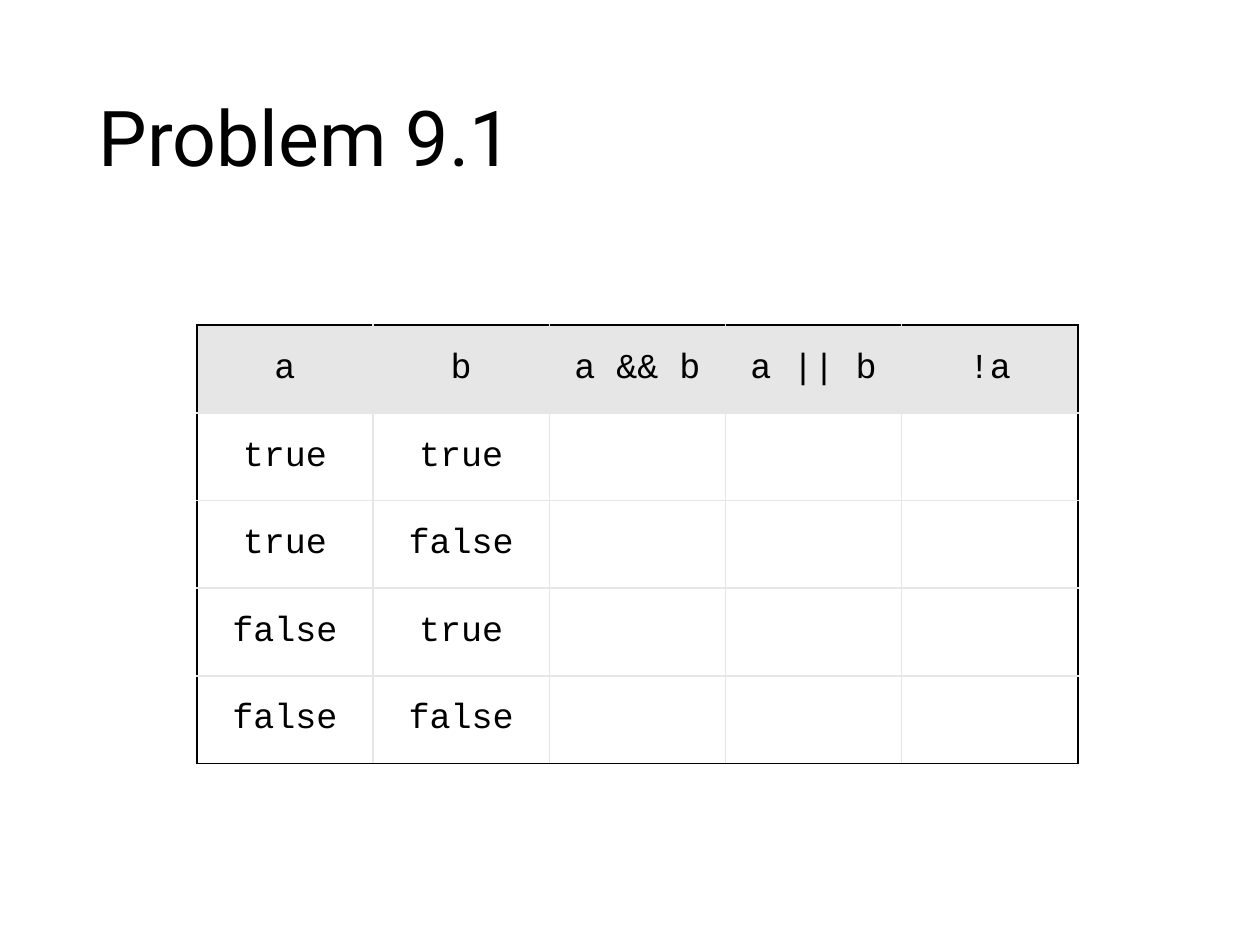
from lxml.etree import SubElement
from pptx import Presentation
from pptx.dml.color import RGBColor
from pptx.enum.text import MSO_ANCHOR, PP_ALIGN
from pptx.oxml.ns import qn
from pptx.util import Pt

TITLE = "Problem 9.1"
ROWS = [
    ("a", "b", "a && b", "a || b", "!a"),
    ("true", "true", "", "", ""),
    ("true", "false", "", "", ""),
    ("false", "true", "", "", ""),
    ("false", "false", "", "", ""),
]
BLACK = RGBColor(0, 0, 0)
GRAY = RGBColor(0xE7, 0xE6, 0xE6)
LEFT, TOP = 112.5, 185.8
WIDTH, HEIGHT = 503.5, 250.5


def write(frame, text, font, size, align=PP_ALIGN.LEFT, space=1.0):
    para = frame.paragraphs[0]
    para.alignment = align
    para.line_spacing = space
    run = para.add_run()
    run.text = text
    run.font.name = font
    run.font.size = Pt(size)
    run.font.color.rgb = BLACK


def border(cell, side, color):
    props = cell._tc.get_or_add_tcPr()
    line = SubElement(props, qn(f"a:ln{side}"), w=str(Pt(1)))
    fill = SubElement(line, qn("a:solidFill"))
    SubElement(fill, qn("a:srgbClr"), val=str(color))


def main():
    deck = Presentation()
    deck.slide_width, deck.slide_height = Pt(720), Pt(540)
    slide = deck.slides.add_slide(deck.slide_layouts[6])

    title = slide.shapes.add_textbox(Pt(49.5), Pt(28.75), Pt(621), Pt(104.4))
    title.text_frame.word_wrap = True
    title.text_frame.vertical_anchor = MSO_ANCHOR.MIDDLE
    write(title.text_frame, TITLE, font="Roboto", size=44, space=0.9)

    count, cols = len(ROWS), len(ROWS[0])
    table = slide.shapes.add_table(
        count, cols, Pt(LEFT), Pt(TOP), Pt(WIDTH), Pt(HEIGHT)
    ).table
    for col in table.columns:
        col.width = Pt(WIDTH / cols)
    for row in table.rows:
        row.height = Pt(HEIGHT / count)

    for r, words in enumerate(ROWS):
        for c, word in enumerate(words):
            cell = table.cell(r, c)
            cell.vertical_anchor = MSO_ANCHOR.MIDDLE
            edges = {"L": c == 0, "R": c == cols - 1, "T": r == 0, "B": r == count - 1}
            for side, outer in edges.items():
                border(cell, side, BLACK if outer else GRAY)
            if r == 0:
                cell.fill.solid()
                cell.fill.fore_color.rgb = GRAY
            else:
                cell.fill.background()
            if word:
                write(cell.text_frame, word, font="Courier New", size=20,
                      align=PP_ALIGN.CENTER)

    deck.save("out.pptx")


if __name__ == "__main__":
    main()
